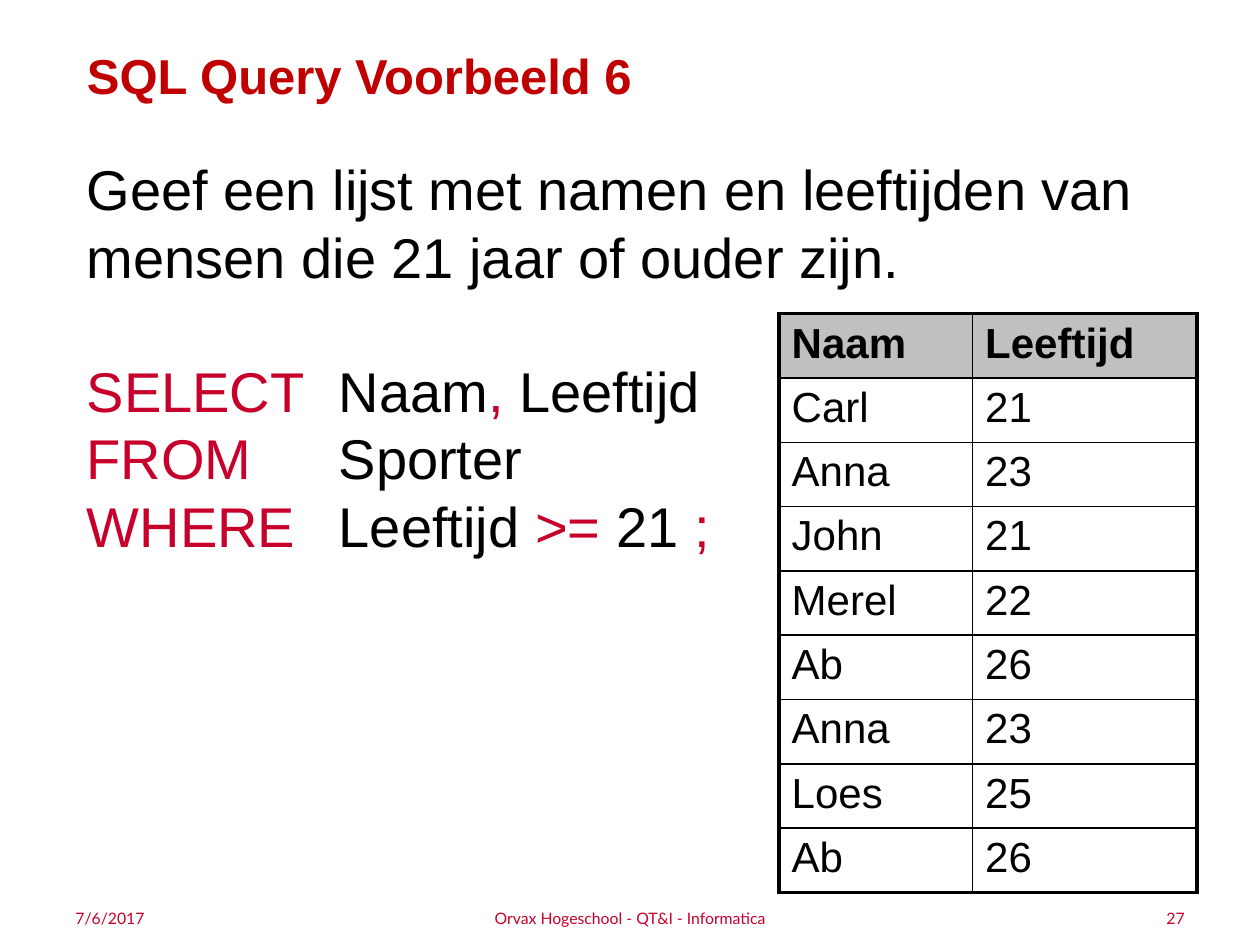
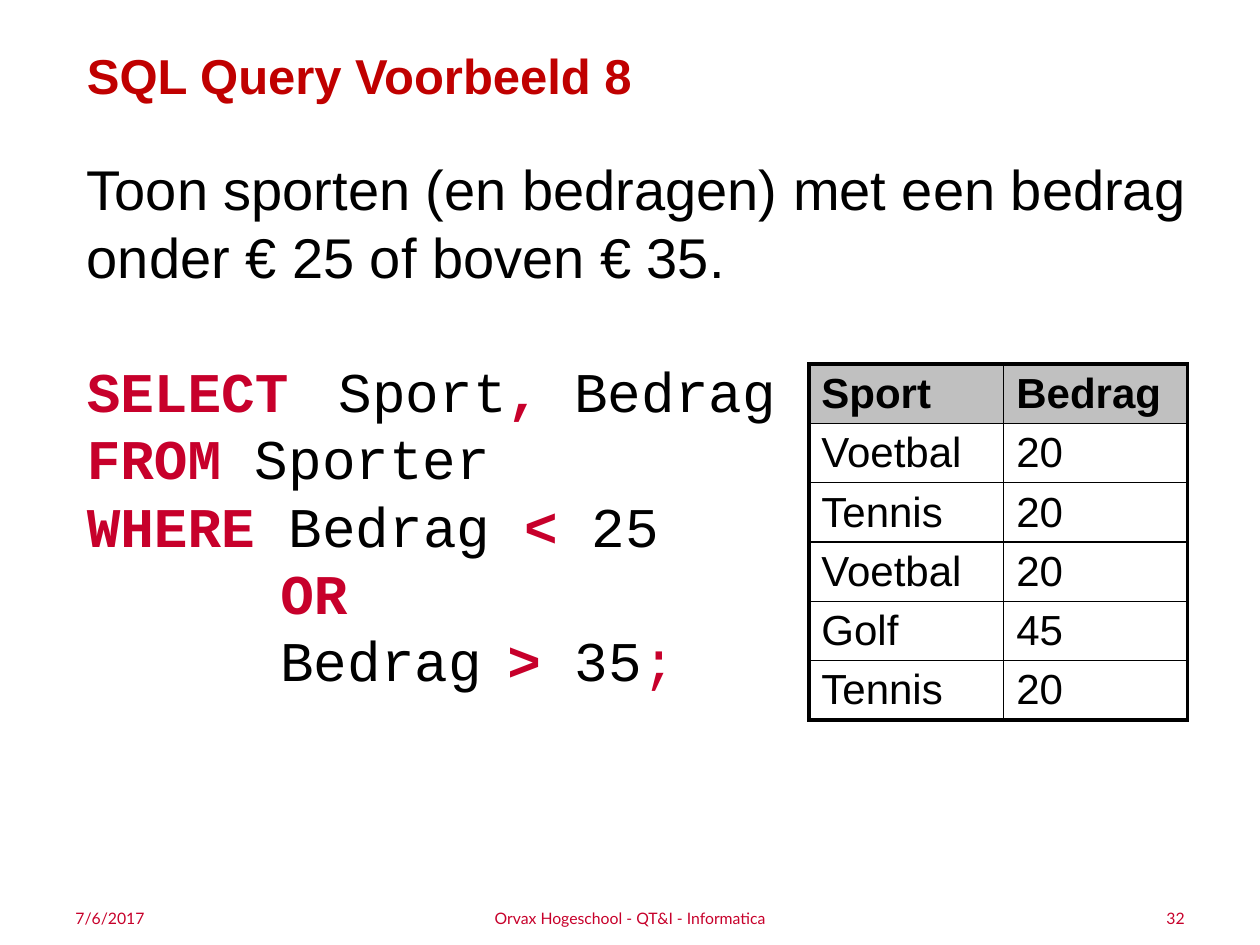
from dataclasses import dataclass

from lxml import etree
from pptx import Presentation
from pptx import util as u
from pptx.dml.color import RGBColor
from pptx.enum import text
from pptx.oxml import ns

Pt = u.Pt
COLORS = {"ink": "000000", "title": "C00000", "accent": "C7002B", "header": "C0C0C0"}
FOOTER_TEXT = "Orvax Hogeschool - QT&I - Informatica"
DATE = "7/6/2017"
LINE_HEIGHT = 38.4
CODE_TAB = 144
OUTER_BORDER, INNER_BORDER = 2.25, 1


@dataclass(frozen=True)
class Box:
    left: float
    top: float
    width: float
    height: float


@dataclass(frozen=True)
class Piece:
    text: str
    color: str = "ink"
    bold: bool = False
    size: float = 32


@dataclass(frozen=True)
class CodeLine:
    pieces: tuple[Piece, ...]
    indent: float = 0


@dataclass(frozen=True)
class ResultTable:
    left: float
    top: float
    column_widths: tuple[float, ...]
    row_height: float
    rows: tuple[tuple[str, ...], ...]


@dataclass(frozen=True)
class QueryExample:
    title: str
    question: str
    code: tuple[CodeLine, ...]
    code_font: str
    body_height: float
    result: ResultTable
    number: int


TITLE_BOX = Box(42.5, 22.3, 694.8, 56.9)
DATE_BOX = Box(36, 516.2, 168, 17.3)
FOOTER_BOX = Box(246, 516.2, 228, 17.3)
NUMBER_BOX = Box(516, 516.2, 168, 17.3)


def accent(words: str, bold: bool = False) -> Piece:
    return Piece(words, "accent", bold)


def line(*pieces: Piece, indent: float = 0) -> CodeLine:
    return CodeLine(pieces, indent)


EXAMPLES = (
    QueryExample(
        title="SQL Query Voorbeeld 6",
        question="Geef een lijst met namen en leeftijden van mensen die 21 jaar of ouder zijn.",
        code=(
            line(accent("SELECT"), Piece("\tNaam"), accent(","), Piece(" Leeftijd")),
            line(accent("FROM"), Piece("\tSporter")),
            line(accent("WHERE"), Piece("\tLeeftijd "), accent(">="), Piece(" 21 "), accent(";")),
        ),
        code_font="Arial",
        body_height=239.8,
        result=ResultTable(
            445.2, 179.3, (110.6, 128.2), 36.75,
            (("Naam", "Leeftijd"), ("Carl", "21"), ("Anna", "23"), ("John", "21"),
             ("Merel", "22"), ("Ab", "26"), ("Anna", "23"), ("Loes", "25"), ("Ab", "26")),
        ),
        number=27,
    ),
    QueryExample(
        title="SQL Query Voorbeeld 8",
        question="Toon sporten (en bedragen) met een bedrag onder € 25 of boven € 35.",
        code=(
            line(accent("SELECT", True), Piece("\tSport"), accent(",", True), Piece(" Bedrag")),
            line(accent("FROM ", True), Piece("Sporter")),
            line(accent("WHERE ", True), Piece("Bedrag "), accent("<", True), Piece(" 25")),
            line(accent("OR", True), indent=110.6),
            line(Piece("Bedrag"), Piece(" ", size=24), accent("> ", True), Piece("35"),
                 accent(";"), indent=110.6),
        ),
        code_font="Courier New",
        body_height=356.4,
        result=ResultTable(
            462.2, 208.1, (111.4, 104.9), 33.9,
            (("Sport", "Bedrag"), ("Voetbal", "20"), ("Tennis", "20"),
             ("Voetbal", "20"), ("Golf", "45"), ("Tennis", "20")),
        ),
        number=32,
    ),
)


def format_run(run, size: float, color: str, font_name: str = "Arial", bold: bool = False) -> None:
    font = run.font
    font.size, font.name, font.bold = Pt(size), font_name, bold
    font.color.rgb = RGBColor.from_string(COLORS[color])


def place(shape, box: Box) -> None:
    shape.left, shape.top = Pt(box.left), Pt(box.top)
    shape.width, shape.height = Pt(box.width), Pt(box.height)


def add_text_box(slide, box: Box):
    text_frame = slide.shapes.add_textbox(
        Pt(box.left), Pt(box.top), Pt(box.width), Pt(box.height)).text_frame
    text_frame.word_wrap = True
    return text_frame


def set_title(slide, words: str) -> None:
    title = slide.shapes.title
    place(title, TITLE_BOX)
    text_frame = title.text_frame
    text_frame.text = words
    text_frame.auto_size = text.MSO_AUTO_SIZE.NONE
    text_frame.vertical_anchor = text.MSO_ANCHOR.TOP
    paragraph = text_frame.paragraphs[0]
    paragraph.alignment = text.PP_ALIGN.LEFT
    format_run(paragraph.runs[0], 28, "title", bold=True)


def add_query(slide, example: QueryExample) -> None:
    """Draw the question with the SQL statement one blank line below it."""
    text_frame = add_text_box(slide, Box(42.5, 85, 680.4, example.body_height))
    text_frame.text = example.question
    question = text_frame.paragraphs[0]
    question.line_spacing = Pt(LINE_HEIGHT)
    format_run(question.runs[0], 32, "ink")
    for index, code_line in enumerate(example.code):
        paragraph = text_frame.add_paragraph()
        paragraph.line_spacing = Pt(LINE_HEIGHT)
        paragraph.space_before = Pt(0 if index else LINE_HEIGHT)
        properties = paragraph._p.get_or_add_pPr()
        properties.set("marL", str(Pt(code_line.indent)))
        properties.set("indent", "0")
        properties.set("defTabSz", str(Pt(CODE_TAB)))
        for piece in code_line.pieces:
            run = paragraph.add_run()
            run.text = piece.text
            format_run(run, piece.size, piece.color, example.code_font, piece.bold)


def set_borders(cell, widths: dict[str, float]) -> None:
    """Give widths in the order L, R, T, B, which the file format requires."""
    properties = cell._tc.get_or_add_tcPr()
    for index, (side, width) in enumerate(widths.items()):
        border = etree.Element(ns.qn(f"a:ln{side}"), w=str(Pt(width)))
        fill = etree.SubElement(border, ns.qn("a:solidFill"))
        etree.SubElement(fill, ns.qn("a:srgbClr"), val=COLORS["ink"])
        properties.insert(index, border)


def add_result(slide, result: ResultTable) -> None:
    row_count, column_count = len(result.rows), len(result.column_widths)
    table = slide.shapes.add_table(
        row_count, column_count, Pt(result.left), Pt(result.top),
        Pt(sum(result.column_widths)), Pt(row_count * result.row_height)).table
    table.first_row = table.horz_banding = False
    for column, width in zip(table.columns, result.column_widths):
        column.width = Pt(width)
    for row_index, values in enumerate(result.rows):
        table.rows[row_index].height = Pt(result.row_height)
        is_header = row_index == 0
        for column_index, value in enumerate(values):
            cell = table.cell(row_index, column_index)
            cell.text = value
            cell.margin_bottom = Pt(2.4)
            format_run(cell.text_frame.paragraphs[0].runs[0], 24, "ink", bold=is_header)
            if is_header:
                cell.fill.solid()
                cell.fill.fore_color.rgb = RGBColor.from_string(COLORS["header"])
            else:
                cell.fill.background()
            on_edge = {
                "L": column_index == 0,
                "R": column_index == column_count - 1,
                "T": is_header,
                "B": row_index == row_count - 1,
            }
            set_borders(cell, {side: OUTER_BORDER if edge else INNER_BORDER
                               for side, edge in on_edge.items()})


def add_footers(slide, number: int) -> None:
    for box, words, alignment in (
        (DATE_BOX, DATE, text.PP_ALIGN.LEFT),
        (NUMBER_BOX, str(number), text.PP_ALIGN.RIGHT),
        (FOOTER_BOX, FOOTER_TEXT, text.PP_ALIGN.CENTER),
    ):
        text_frame = add_text_box(slide, box)
        text_frame.text = words
        text_frame.vertical_anchor = text.MSO_ANCHOR.MIDDLE
        paragraph = text_frame.paragraphs[0]
        paragraph.alignment = alignment
        format_run(paragraph.runs[0], 9, "accent", "Lato")


def main() -> None:
    presentation = Presentation()
    presentation.slide_width, presentation.slide_height = Pt(720), Pt(540)
    title_only = presentation.slide_layouts.get_by_name("Title Only")
    for example in EXAMPLES:
        slide = presentation.slides.add_slide(title_only)
        set_title(slide, example.title)
        add_result(slide, example.result)
        add_query(slide, example)
        add_footers(slide, example.number)
    presentation.save("out.pptx")


if __name__ == "__main__":
    main()
